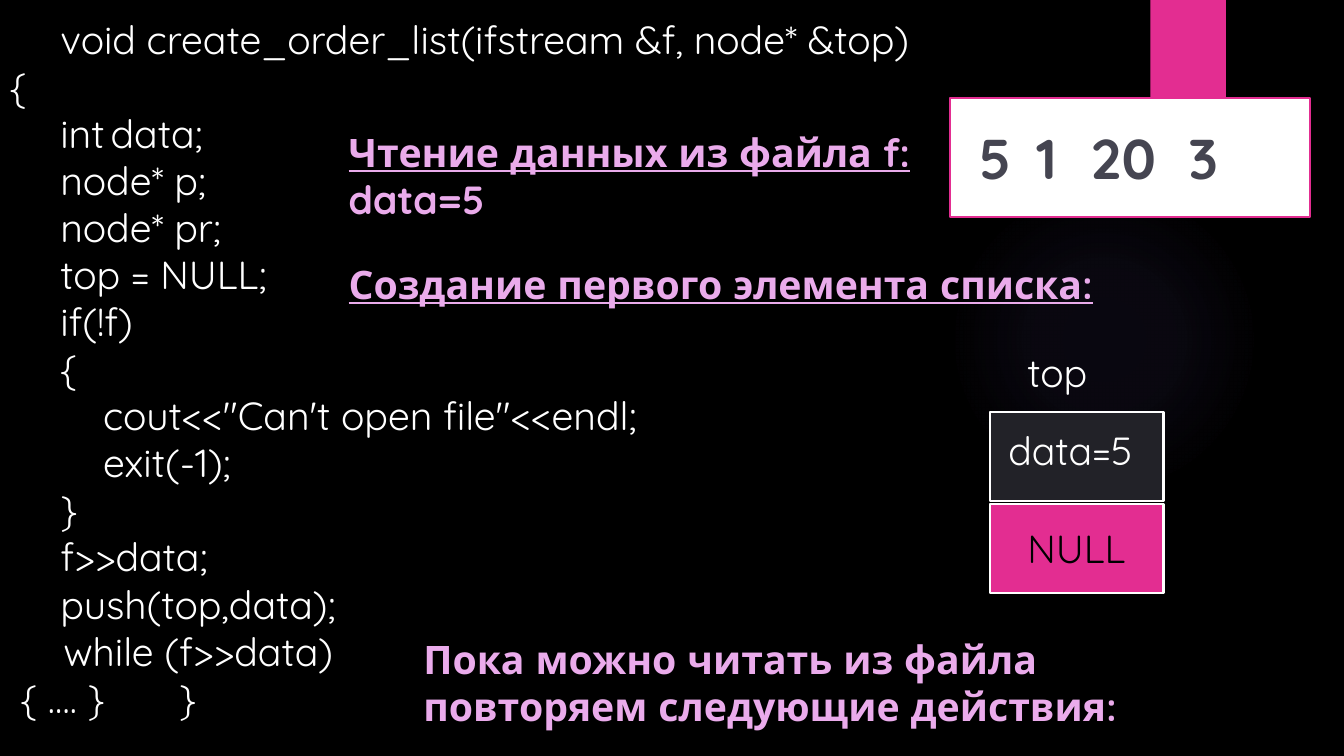
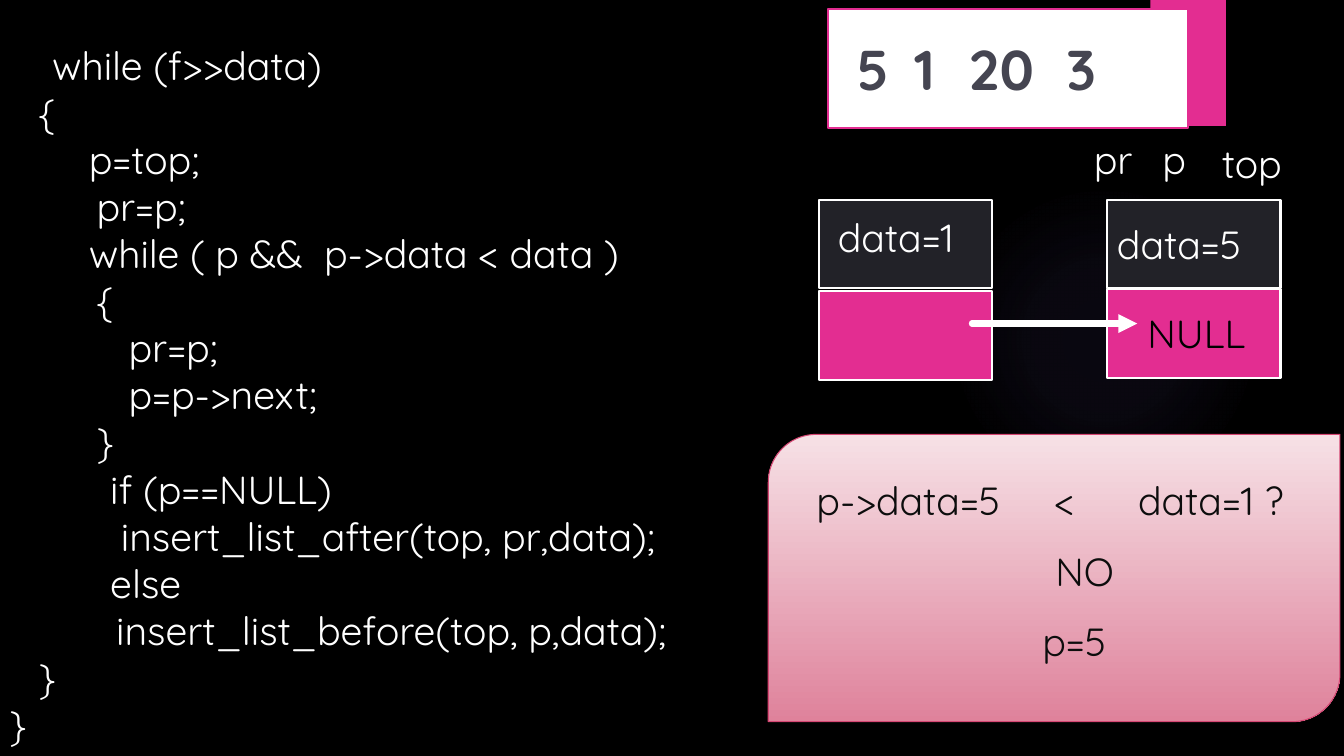
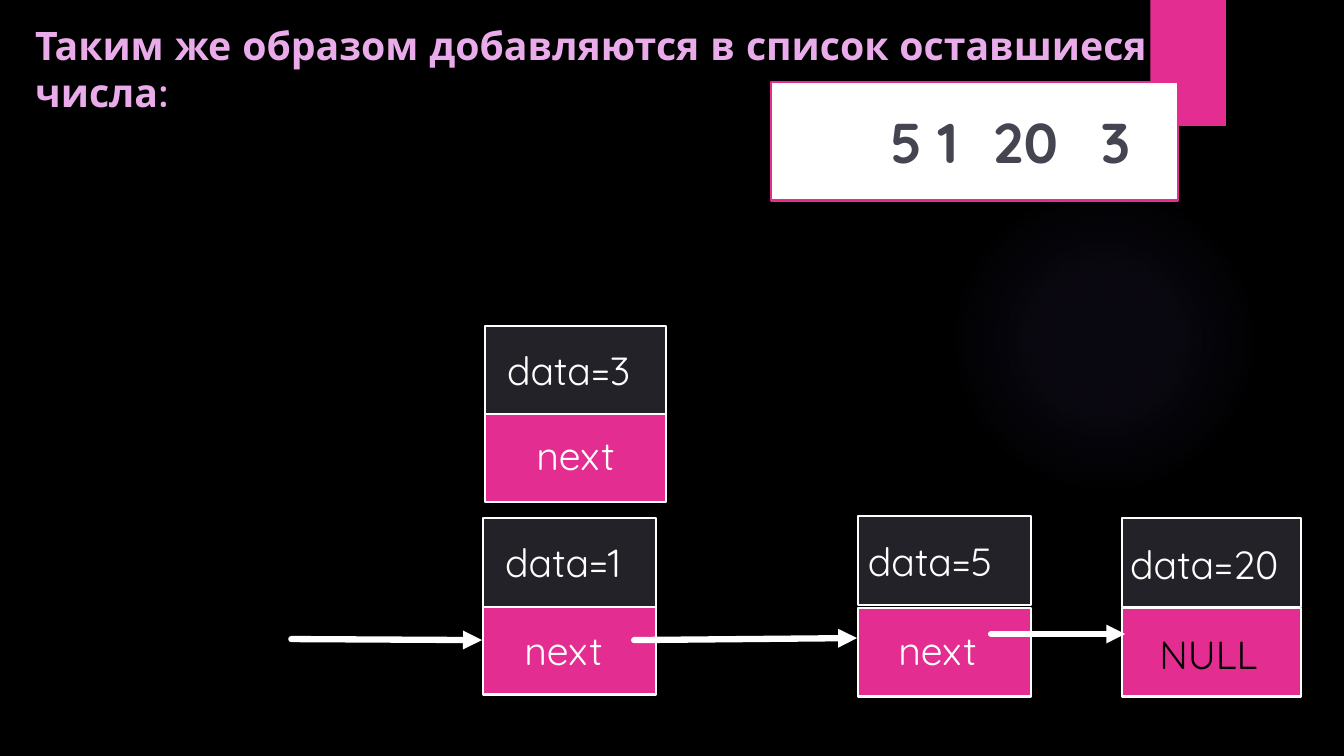
import pptx
import pptx.dml.color
import pptx.enum.shapes
import pptx.enum.text
import pptx.oxml
import pptx.oxml.ns
import pptx.util
from pptx.util import Inches

SHAPES = pptx.enum.shapes.MSO_SHAPE
ANCHORS = pptx.enum.text.MSO_ANCHOR
ALIGNMENTS = pptx.enum.text.PP_ALIGN
qn = pptx.oxml.ns.qn

FONT = "Quicksand"
BLACK, WHITE, PINK, DARK = "000000", "FFFFFF", "E32D91", "222228"
INK, GRAY, LILAC, PURPLE = "0D0D0D", "454551", "EAABEB", "C830CC"
GLOW = "8971E1"
GLOW_STOPS = [(0, 7), (36, 6), (69, 0)]
CODE_TABS = [0.5, 1, 1.5]
CELL_HEIGHT = 0.88

CODE = {"color": WHITE, "size": 28}
ANSWER = {"color": INK, "size": 28}
HEADING = {"color": LILAC, "size": 28, "bold": True, "outline": PURPLE}
UNDERLINED = {**HEADING, "underline": True}
NUMBER = {"color": GRAY, "size": 40, "bold": True, "spacing": 0.5}

CREATE_CODE = [
    "\tvoid create_order_list(ifstream &f, node* &top)",
    "{",
    "\tint\tdata;",
    "\tnode* p;",
    "\tnode* pr;",
    "\ttop = NULL;",
    "\tif(!f)",
    "\t{",
    "\t    cout<<\"Can't open file\"<<endl;",
    "\t    exit(-1);",
    "\t}",
    "\tf>>data;",
    "\tpush(top,data);",
    "     while (f>>data)",
    " { …. }       }",
]
LOOP_CODE = [
    "          while (f>>data)",
    "\t    {",
    "\t\t    p=top;",
    "\t\t\tpr=p;",
    "\t\t    while ( p &&  p->data < data )",
    "\t\t\t{",
    "\t\t\t   pr=p;",
    "\t\t\t   p=p->next;",
    "\t\t\t}",
    "\t\t      if (p==NULL)",
    "\t\t       insert_list_after(top, pr,data);",
    "\t\t      else",
    "                insert_list_before(top, p,data);",
    "\t    }",
    "      }",
]

SLIDES = [
    {
        "texts": [
            (CREATE_CODE, (0, 0.1, 10, 7.17), CODE, CODE_TABS),
            (["Чтение данных из файла f:"], (3.36, 1.22, 6, 0.57), UNDERLINED, []),
            (["data=5"], (3.36, 1.69, 6, 0.57), HEADING, []),
            (["Создание первого элемента списка:"], (3.36, 2.53, 8.32, 0.57), UNDERLINED, []),
            (["top"], (10.09, 3.41, 1.39, 0.57), CODE, []),
            (["Пока можно читать из файла повторяем следующие действия:"],
             (4.1, 6.25, 7.98, 1.04), HEADING, []),
        ],
        "nodes": [
            {"left": 9.82, "width": 1.72,
             "data": (4.09, "data=5", 0.18, 0.14), "link": (5, "NULL", 0.37, 0.2)},
        ],
        "arrows": [],
        "numbers": ((9.42, 0.97, 3.57, 1.18), [0.29, 0.86, 1.4, 2.37]),
    },
    {
        "panel": (7.62, 4.31, 5.67, 2.85),
        "texts": [
            (LOOP_CODE, (-0.64, 0.36, 8.38, 7.14), CODE, CODE_TABS),
            (["pr"], (10.75, 1.29, 0.7, 0.57), CODE, []),
            (["p"], (11.43, 1.29, 0.6, 0.57), CODE, []),
            (["top"], (12.02, 1.33, 1.2, 0.57), CODE, []),
            (["p->data=5\t<\tdata=1 ?"], (8, 4.68, 5.3, 0.57), ANSWER, [2.36, 3.19]),
            (["NO"], (10.37, 5.38, 2.54, 0.57), ANSWER, []),
            (["p=5"], (10.24, 6.08, 2.54, 0.57), ANSWER, []),
        ],
        "nodes": [
            {"left": 10.98, "width": 1.72,
             "data": (1.98, "data=5", 0.1, 0.21), "link": (2.87, "NULL", 0.4, 0.2)},
            {"left": 8.12, "width": 1.72,
             "data": (1.98, "data=1", 0.19, 0.14), "link": (2.89, "", 0.4, 0.2)},
        ],
        "arrows": [(9.64, 3.21, 11.28, 3.21)],
        "numbers": ((8.21, 0.09, 3.57, 1.18), [0.29, 0.86, 1.4, 2.37]),
    },
    {
        "texts": [
            (["Таким же образом добавляются в список оставшиеся числа:"],
             (0.25, 0.16, 11.42, 1.04), HEADING, []),
        ],
        "nodes": [
            {"left": 4.79, "width": 1.72,
             "data": (5.14, "data=1", 0.22, 0.2), "link": (6.01, "next", 0.41, 0.2)},
            {"left": 8.51, "width": 1.72,
             "data": (5.12, "data=5", 0.1, 0.21), "link": (6.03, "next", 0.4, 0.18)},
            {"left": 11.13, "width": 1.77,
             "data": (5.14, "data=20", 0.08, 0.22), "link": (6.03, "NULL", 0.37, 0.22)},
            {"left": 4.81, "width": 1.8,
             "data": (3.23, "data=3", 0.22, 0.21), "link": (4.1, "next", 0.51, 0.18)},
        ],
        "arrows": [
            (9.83, 6.29, 11.16, 6.29),
            (2.89, 6.34, 4.78, 6.35),
            (6.29, 6.35, 8.5, 6.33),
        ],
        "numbers": ((7.65, 0.81, 4.03, 1.18), [1.18, 1.65, 2.2, 3.27]),
    },
]


def rgb(value):
    return pptx.dml.color.RGBColor.from_string(value)


def child(parent, tag, **attributes):
    element = parent.makeelement(qn(tag), attributes)
    parent.append(element)
    return element


def add_box(slide, kind, frame, fill=None, line=None, line_width=1.5):
    shape = slide.shapes.add_shape(kind, *map(Inches, frame))
    shape.shadow.inherit = False
    if fill:
        shape.fill.solid()
        shape.fill.fore_color.rgb = rgb(fill)
    else:
        shape.fill.background()
    if line:
        shape.line.color.rgb = rgb(line)
        shape.line.width = pptx.util.Pt(line_width)
    else:
        shape.line.fill.background()
    return shape


def write(shape, lines, style, tabs=(), left=0.1, top=0.05, anchor=ANCHORS.TOP):
    frame = shape.text_frame
    settings = {
        "word_wrap": True,
        "vertical_anchor": anchor,
        "margin_left": Inches(left),
        "margin_top": Inches(top),
        "margin_right": 0,
        "margin_bottom": Inches(0.05),
    }
    for name, value in settings.items():
        setattr(frame, name, value)
    for index, line in enumerate(lines):
        paragraph = frame.add_paragraph() if index else frame.paragraphs[0]
        paragraph.alignment = ALIGNMENTS.LEFT
        if tabs:
            tab_list = child(paragraph._p.get_or_add_pPr(), "a:tabLst")
            for position in tabs:
                child(tab_list, "a:tab", pos=str(Inches(position)), algn="l")
        run = paragraph.add_run()
        run.text = line
        font_format = {
            "name": FONT,
            "size": pptx.util.Pt(style["size"]),
            "bold": style.get("bold", False),
            "underline": style.get("underline", False),
        }
        for name, value in font_format.items():
            setattr(run.font, name, value)
        run.font.color.rgb = rgb(style["color"])
        properties = run._r.get_or_add_rPr()
        if "spacing" in style:
            properties.set("spc", str(int(style["spacing"] * 100)))
        if "outline" in style:
            outline = child(properties, "a:ln", w=str(pptx.util.Pt(1.75)))
            child(child(outline, "a:solidFill"), "a:srgbClr", val=style["outline"])
            properties.insert(0, outline)


def add_text(slide, lines, frame, style, tabs):
    write(slide.shapes.add_textbox(*map(Inches, frame)), lines, style, tabs)


def add_node(slide, node):
    for part, fill in (("link", PINK), ("data", DARK)):
        top, label, inset_left, inset_top = node[part]
        frame = (node["left"], top, node["width"], CELL_HEIGHT)
        cell = add_box(slide, SHAPES.RECTANGLE, frame, fill, WHITE)
        if label:
            color = BLACK if label == "NULL" else WHITE
            write(cell, [label], {**CODE, "color": color}, left=inset_left, top=inset_top)


def add_arrow(slide, ends):
    straight = pptx.enum.shapes.MSO_CONNECTOR.STRAIGHT
    arrow = slide.shapes.add_connector(straight, *map(Inches, ends))
    arrow.line.color.rgb = rgb(WHITE)
    arrow.line.width = pptx.util.Pt(4.5)
    line = arrow.line._get_or_add_ln()
    line.set("cap", "rnd")
    child(line, "a:tailEnd", type="triangle")
    child(arrow.element.spPr, "a:effectLst")


def add_numbers(slide, frame, offsets):
    box = add_box(slide, SHAPES.RECTANGLE, frame, WHITE, PINK)
    first = offsets[0]
    tabs = [round(offset - first, 2) for offset in offsets[1:]]
    write(box, ["5\t1\t20\t3"], NUMBER, tabs, left=first, anchor=ANCHORS.MIDDLE)


def add_panel(slide, frame):
    panel = add_box(slide, SHAPES.ROUND_2_DIAG_RECTANGLE, frame, WHITE, "D54773", 0.75)
    panel.fill.gradient()
    panel.fill.gradient_angle = 270
    for stop, position, color in zip(panel.fill.gradient_stops, (0, 1), ("F6E1E6", "DF829B")):
        stop.position = position
        stop.color.rgb = rgb(color)


def decorate_layout(layout, slide):
    glow = add_box(slide, SHAPES.OVAL, (9.41, 1.83, 3.08, 3.08))
    properties = glow.element.spPr
    gradient = properties.makeelement(qn("a:gradFill"), {"rotWithShape": "1"})
    stops = child(gradient, "a:gsLst")
    for position, alpha in GLOW_STOPS:
        stop = child(stops, "a:gs", pos=str(position * 1000))
        color = child(stop, "a:srgbClr", val=GLOW)
        child(color, "a:alpha", val=str(alpha * 1000))
    center = child(gradient, "a:path", path="circle")
    child(center, "a:fillToRect", l="50000", t="50000", r="50000", b="50000")
    properties.replace(properties.find(qn("a:noFill")), gradient)
    ribbon = add_box(slide, SHAPES.RECTANGLE, (11.41, 0, 0.75, 1.25), PINK)
    for shape in (glow, ribbon):
        layout.shapes.element.append(shape.element)


def main():
    presentation = pptx.Presentation()
    presentation.slide_width = Inches(13.33)
    presentation.slide_height = Inches(7.5)
    background = presentation.slide_master.background.fill
    background.solid()
    background.fore_color.rgb = rgb(BLACK)
    layout = presentation.slide_layouts[6]
    for index, content in enumerate(SLIDES):
        slide = presentation.slides.add_slide(layout)
        if index == 0:
            decorate_layout(layout, slide)
        if "panel" in content:
            add_panel(slide, content["panel"])
        for text in content["texts"]:
            add_text(slide, *text)
        for node in content["nodes"]:
            add_node(slide, node)
        for ends in content["arrows"]:
            add_arrow(slide, ends)
        add_numbers(slide, *content["numbers"])
    presentation.save("out.pptx")


if __name__ == "__main__":
    main()
